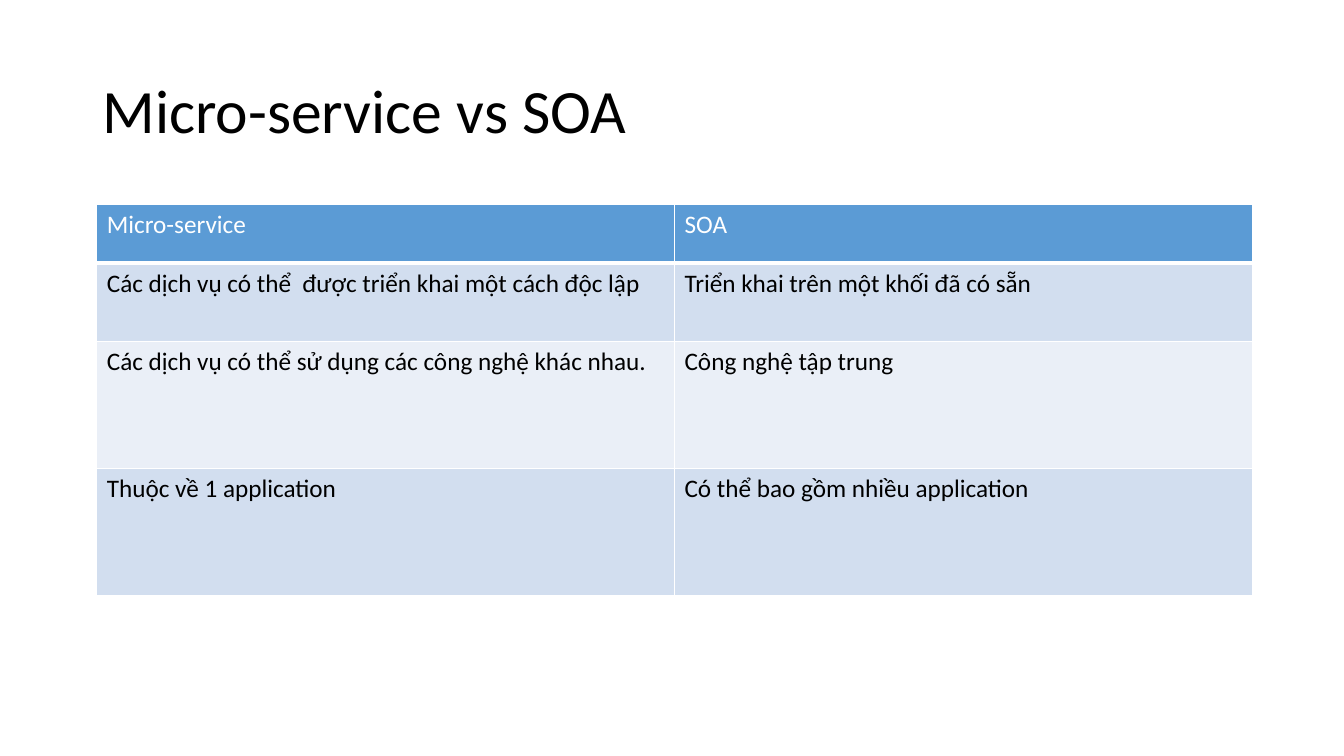
from dataclasses import dataclass

from lxml.etree import SubElement
from pptx import Presentation
from pptx.dml.color import RGBColor
from pptx.enum.text import MSO_ANCHOR
from pptx.oxml.ns import qn
from pptx.util import Inches, Pt


@dataclass
class Theme:
    font: str = "Calibri"
    title: int = 44
    body: int = 18
    ink: str = "000000"
    white: str = "FFFFFF"
    head: str = "5B9BD5"
    bands: tuple = ("EAEFF7", "D2DEEF")


theme = Theme()


def write(frame, text, size=theme.body, color=theme.ink, spacing=None):
    para = frame.paragraphs[0]
    para.line_spacing = spacing
    run = para.add_run()
    run.text = text
    font = run.font
    font.name, font.size, font.bold = theme.font, Pt(size), False
    font.color.rgb = RGBColor.from_string(color)


def edge(cell, side, width):
    """Add a white border; call before the cell is filled."""
    props = cell._tc.get_or_add_tcPr()
    line = SubElement(props, qn("a:ln" + side), w=str(Pt(width)))
    fill = SubElement(line, qn("a:solidFill"))
    SubElement(fill, qn("a:srgbClr"), val=theme.white)


deck = Presentation()
deck.slide_width, deck.slide_height = Inches(13.33), Inches(7.5)
slide = deck.slides.add_slide(deck.slide_layouts[6])

title = slide.shapes.add_textbox(
    Inches(0.92), Inches(0.4), Inches(11.5), Inches(1.45)
).text_frame
title.word_wrap = True
title.vertical_anchor = MSO_ANCHOR.MIDDLE
write(title, "Micro-service vs SOA", size=theme.title, spacing=0.9)

rows = [
    (0.58, "Micro-service", "SOA"),
    (0.78, "Các dịch vụ có thể  được triển khai một cách độc lập",
     "Triển khai trên một khối đã có sẵn"),
    (1.26, "Các dịch vụ có thể sử dụng các công nghệ khác nhau.",
     "Công nghệ tập trung"),
    (1.26, "Thuộc về 1 application", "Có thể bao gồm nhiều application"),
]
table = slide.shapes.add_table(
    len(rows), 2, Inches(0.96), Inches(2.03), Inches(11.46), Inches(3.88)
).table

for r, (height, *texts) in enumerate(rows):
    table.rows[r].height = Inches(height)
    top = r == 0
    back = theme.head if top else theme.bands[r % 2]
    for c, text in enumerate(texts):
        cell = table.cell(r, c)
        for side in "LRTB":
            edge(cell, side, 3 if top and side == "B" else 1)
        cell.fill.solid()
        cell.fill.fore_color.rgb = RGBColor.from_string(back)
        write(cell.text_frame, text, color=theme.white if top else theme.ink)

deck.save("out.pptx")
